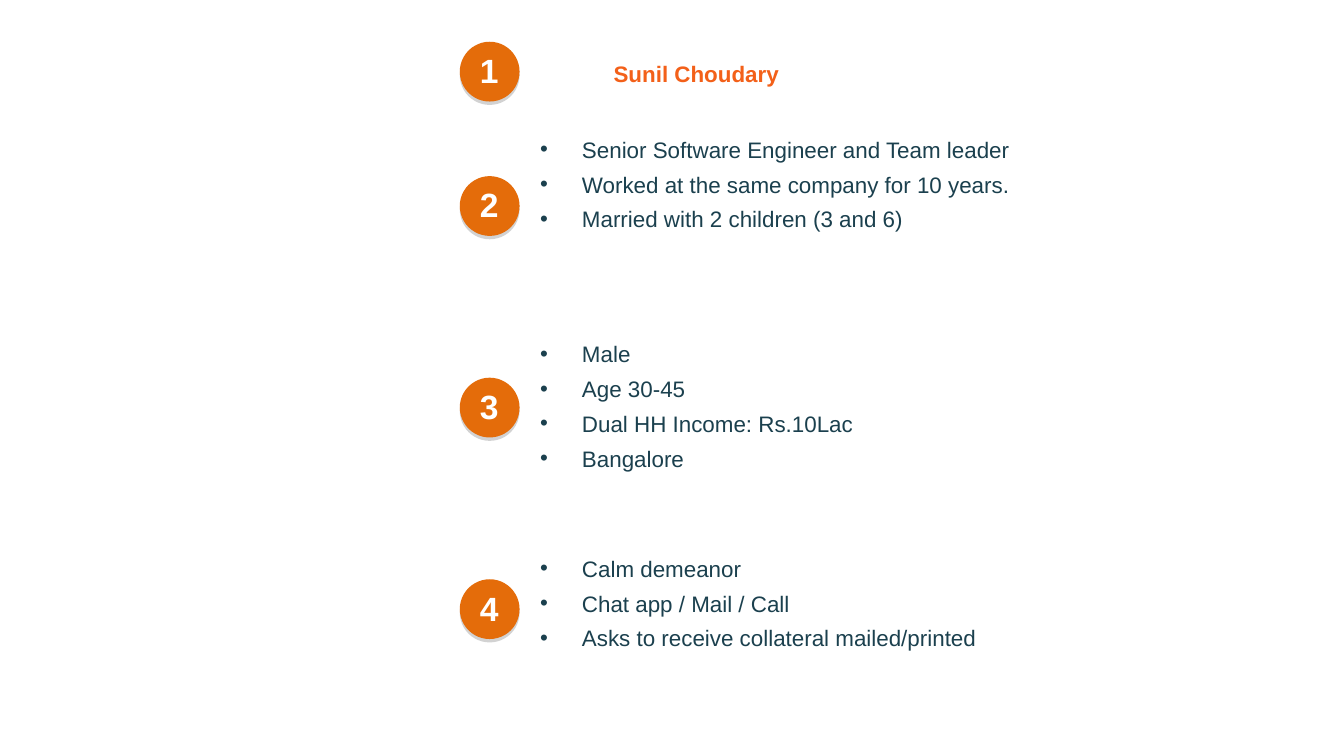
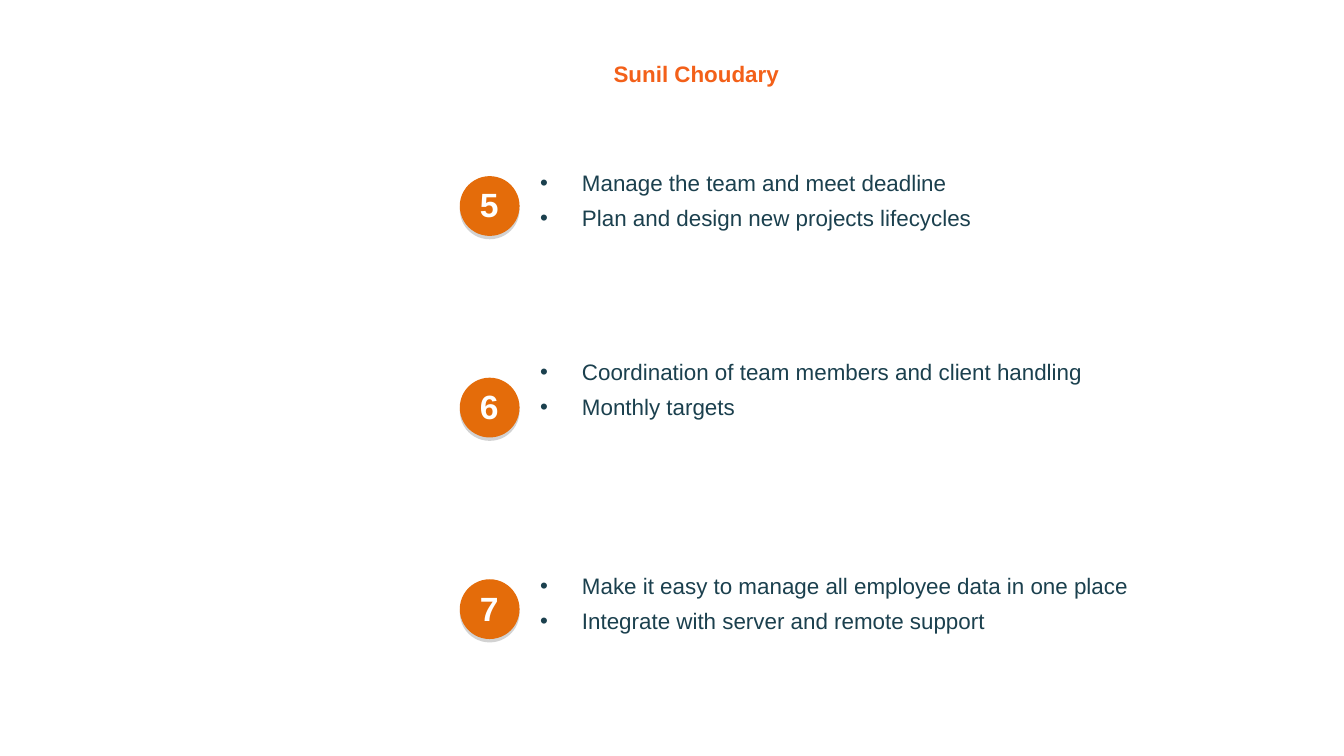
from dataclasses import dataclass

from lxml.etree import SubElement
from pptx import Presentation
from pptx.dml.color import RGBColor
from pptx.enum.shapes import MSO_SHAPE
from pptx.enum.text import MSO_AUTO_SIZE, PP_ALIGN
from pptx.oxml.ns import qn
from pptx.util import Cm, Pt


# Theme: colours, type sizes and shared measures (cm)
@dataclass(frozen=True)
class Theme:
    font: str = "Arial"
    heading: str = "F36019"
    body: str = "1B404E"
    badge: str = "E46C0A"
    number: str = "FFFFFF"
    shadow: str = "808080"
    text_size: int = 12
    number_size: int = 18
    badge_left: float = 8.69
    badge_size: float = 1.13
    first_badge: float = 0.79
    second_badge: float = 3.33
    badge_step: float = 3.81
    list_left: float = 9.96
    list_width: float = 14.17
    line_height: float = 0.66
    list_padding: float = 0.25
    bullet_indent: float = 0.79


def apply_format(target, formats):
    for name, value in formats.items():
        setattr(target, name, value)


class PersonaDeck:
    def __init__(self, theme):
        self.theme = theme
        self.deck = Presentation()
        self.deck.slide_width, self.deck.slide_height = Cm(25.4), Cm(14.29)
        self.slide = None

    def new_slide(self):
        self.slide = self.deck.slides.add_slide(self.deck.slide_layouts[6])

    def text(self, shapes, box, lines, color, size, bold=False, **paragraph_format):
        frame = shapes.add_textbox(*map(Cm, box)).text_frame
        apply_format(frame, {"word_wrap": True,
                             "auto_size": MSO_AUTO_SIZE.SHAPE_TO_FIT_TEXT})
        for index, line in enumerate(lines):
            paragraph = frame.add_paragraph() if index else frame.paragraphs[0]
            apply_format(paragraph, paragraph_format)
            run = paragraph.add_run()
            run.text = line
            apply_format(run.font, {"name": self.theme.font, "size": Pt(size), "bold": bold})
            run.font.color.rgb = RGBColor.from_string(color)
        return frame

    def heading(self, name):
        self.text(self.slide.shapes, (10.16, 1.02, 6.12, 0.76), [name],
                  self.theme.heading, self.theme.text_size, True, alignment=PP_ALIGN.CENTER)

    def bullets(self, top, lines):
        theme = self.theme
        height = theme.list_padding + theme.line_height * len(lines)
        frame = self.text(self.slide.shapes, (theme.list_left, top, theme.list_width, height),
                          lines, theme.body, theme.text_size, line_spacing=1.3)
        indent = Cm(theme.bullet_indent)
        for paragraph in frame.paragraphs:
            properties = paragraph._p.get_or_add_pPr()
            properties.set("marL", str(indent))
            properties.set("indent", str(-indent))
            bullet_color = SubElement(properties, qn("a:buClr"))
            SubElement(bullet_color, qn("a:srgbClr"), val=theme.body)
            SubElement(properties, qn("a:buFont"), typeface=theme.font)
            SubElement(properties, qn("a:buChar"), char="•")

    def badge(self, number, top):
        theme = self.theme
        group = self.slide.shapes.add_group_shape()
        disc = group.shapes.add_shape(MSO_SHAPE.OVAL, Cm(theme.badge_left), Cm(top),
                                      Cm(theme.badge_size), Cm(theme.badge_size))
        disc.fill.solid()
        disc.fill.fore_color.rgb = RGBColor.from_string(theme.badge)
        disc.line.fill.background()
        self.drop_shadow(disc)
        self.text(group.shapes, (theme.badge_left + 0.13, top + 0.03, 0.74, 1.02),
                  [str(number)], theme.number, theme.number_size, True)

    def drop_shadow(self, shape):
        shape.shadow.inherit = False
        effects = shape._element.spPr.find(qn("a:effectLst"))
        shadow = SubElement(effects, qn("a:outerShdw"), blurRad="0", dist=str(Pt(1.8)),
                            dir="5400000", rotWithShape="0")
        color = SubElement(shadow, qn("a:srgbClr"), val=self.theme.shadow)
        SubElement(color, qn("a:alpha"), val="35000")

    def persona(self, name, sections, first_number, heading_number=None):
        theme = self.theme
        self.new_slide()
        self.heading(name)
        for top, lines in sections:
            self.bullets(top, lines)
        if heading_number:
            self.badge(heading_number, theme.first_badge)
        for row in range(len(sections)):
            self.badge(first_number + row, theme.second_badge + row * theme.badge_step)


# Content: top of each list (cm) and its lines
PERSONA_NAME = "Sunil Choudary "
PROFILE = [
    (2.29, ["Senior Software Engineer and Team leader",
            "Worked at the same company for 10 years.",
            "Married with 2 children (3 and 6)"]),
    (6.15, ["Male", "Age 30-45", "Dual HH Income: Rs.10Lac", "Bangalore"]),
    (10.21, ["Calm demeanor", "Chat app / Mail / Call",
             "Asks to receive collateral mailed/printed"]),
]
GOALS = [
    (2.92, ["Manage the team and meet deadline",
            "Plan and design new projects lifecycles"]),
    (6.5, ["Coordination of team members and client handling", "Monthly targets"]),
    (10.54, ["Make it easy to manage all employee data in one place",
             "Integrate with server and remote support"]),
]


def main():
    persona_deck = PersonaDeck(Theme())
    # Who the persona is
    persona_deck.persona(PERSONA_NAME, PROFILE, first_number=2, heading_number=1)
    # What the persona wants
    persona_deck.persona(PERSONA_NAME, GOALS, first_number=5)
    persona_deck.deck.save("out.pptx")


if __name__ == "__main__":
    main()
